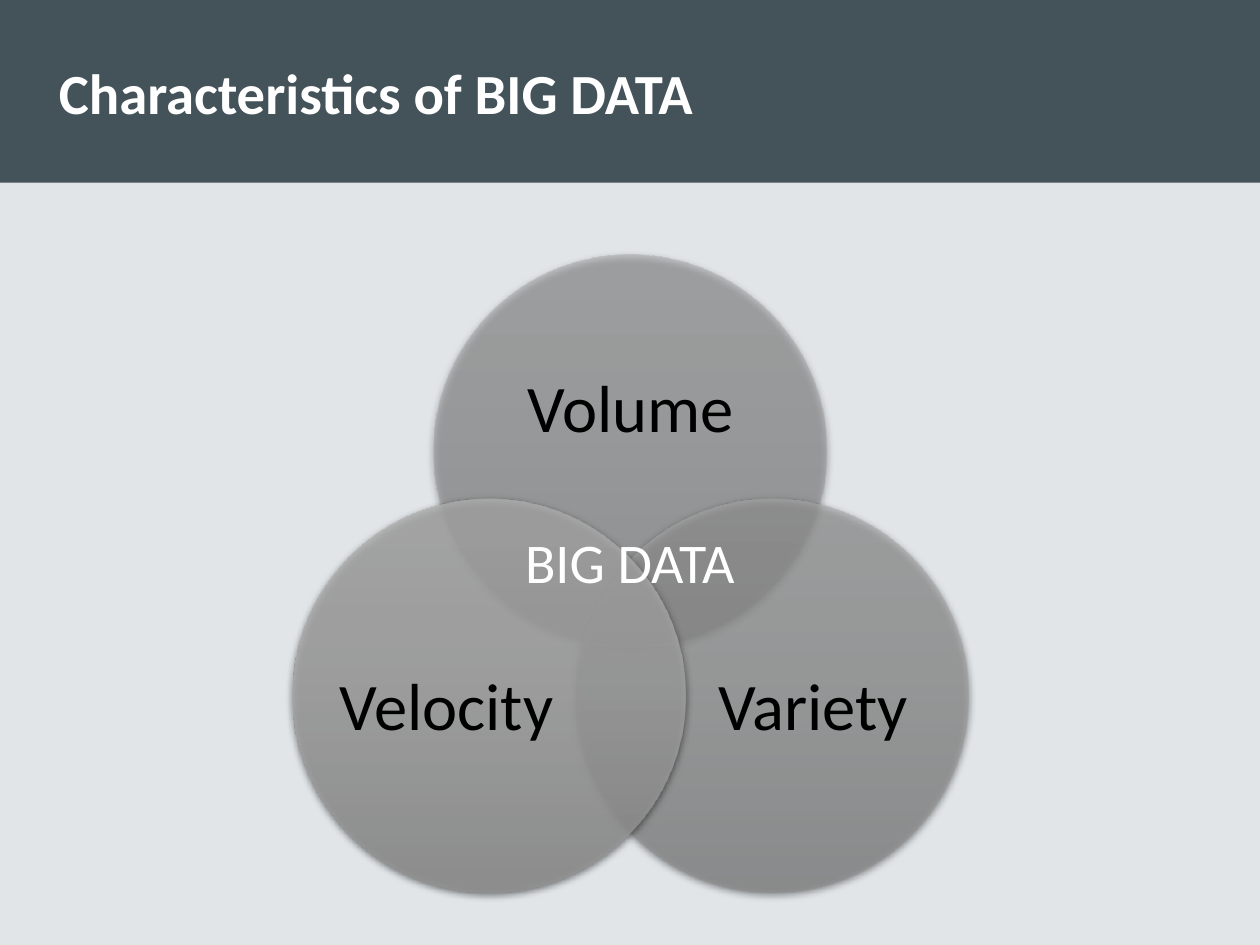
from dataclasses import dataclass

from lxml import etree
from pptx import Presentation
from pptx import util as u
from pptx.dml.color import RGBColor
from pptx.enum import shapes, text
from pptx.oxml.ns import qn

COLORS = {
    "background": "E1E5E8",
    "banner": "44525A",
    "light": "FFFFFF",
    "dark": "000000",
}
FONT = "Calibri"
DIAMETER = 3.12


@dataclass
class Box:
    left: float
    top: float
    width: float
    height: float

    def emu(self) -> list:
        return [u.Inches(v) for v in (self.left, self.top, self.width, self.height)]


@dataclass
class Circle:
    label: str
    left: float
    top: float
    label_box: Box
    stops: tuple
    opacity: int


CIRCLES = [
    Circle("Volume", 3.44, 2.02, Box(3.86, 2.56, 2.29, 1.4),
           ("A1A1A1", "969696", "858585"), 50),
    Circle("Variety", 4.57, 3.96, Box(5.52, 4.77, 1.87, 1.71),
           ("A9A9A9", "9E9E9E", "8C8C8C"), 65),
    Circle("Velocity", 2.32, 3.96, Box(2.61, 4.77, 1.87, 1.71),
           ("B0B0B0", "A6A6A6", "939393"), 80),
]


def rgb(name: str) -> RGBColor:
    return RGBColor.from_string(COLORS[name])


def add_color(parent, value: str, opacity: int) -> None:
    color = etree.SubElement(parent, qn("a:srgbClr"), val=value)
    etree.SubElement(color, qn("a:alpha"), val=str(opacity * 1000))


def add_shape(slide, kind, box: Box):
    sp = slide.shapes.add_shape(kind, *box.emu())
    sp.shadow.inherit = False
    sp.line.fill.background()
    return sp


def add_label(slide, box: Box, words: str, size: float, color: str,
              align=text.PP_ALIGN.CENTER, bold: bool = False,
              inset: float = 0, spacing: float = 1) -> None:
    tf = slide.shapes.add_textbox(*box.emu()).text_frame
    tf.word_wrap = True
    tf.vertical_anchor = text.MSO_ANCHOR.MIDDLE
    tf.margin_left = tf.margin_right = u.Inches(inset)
    tf.margin_top = tf.margin_bottom = u.Inches(inset / 2)
    tf.text = words
    p = tf.paragraphs[0]
    p.alignment = align
    p.line_spacing = spacing
    font = p.runs[0].font
    font.name, font.size, font.bold = FONT, u.Pt(size), bold
    font.color.rgb = rgb(color)


def add_circle(slide, circle: Circle) -> None:
    sp = add_shape(slide, shapes.MSO_SHAPE.OVAL,
                   Box(circle.left, circle.top, DIAMETER, DIAMETER))
    sp.fill.gradient()
    sp.fill.gradient_angle = 270
    props = sp.element.spPr
    stops = props.find(".//" + qn("a:gsLst"))
    for old in list(stops):
        stops.remove(old)
    for i, value in enumerate(circle.stops):
        stop = etree.SubElement(stops, qn("a:gs"), pos=str(i * 50000))
        add_color(stop, value, circle.opacity)
    shadow = etree.SubElement(
        props.find(qn("a:effectLst")), qn("a:outerShdw"),
        blurRad=str(u.Pt(4.5)), dist=str(u.Pt(1.5)), dir="5400000", rotWithShape="0")
    add_color(shadow, COLORS["dark"], 63)
    add_label(slide, circle.label_box, circle.label, 38, "dark", spacing=0.9)


def main() -> None:
    prs = Presentation()
    prs.slide_width, prs.slide_height = u.Inches(10), u.Inches(7.5)
    s = prs.slides.add_slide(prs.slide_layouts[6])
    s.background.fill.solid()
    s.background.fill.fore_color.rgb = rgb("background")

    banner = add_shape(s, shapes.MSO_SHAPE.RECTANGLE, Box(0, 0, 10, 1.45))
    banner.fill.solid()
    banner.fill.fore_color.rgb = rgb("banner")
    add_label(s, Box(0.37, 0, 9.17, 1.45), "Characteristics of BIG DATA", 32.4,
              "light", text.PP_ALIGN.LEFT, bold=True, inset=0.1)

    for circle in CIRCLES:
        add_circle(s, circle)
    add_label(s, Box(3.82, 4.13, 2.36, 0.64), "BIG DATA", 32, "light", inset=0.1)
    prs.save("out.pptx")


if __name__ == "__main__":
    main()
